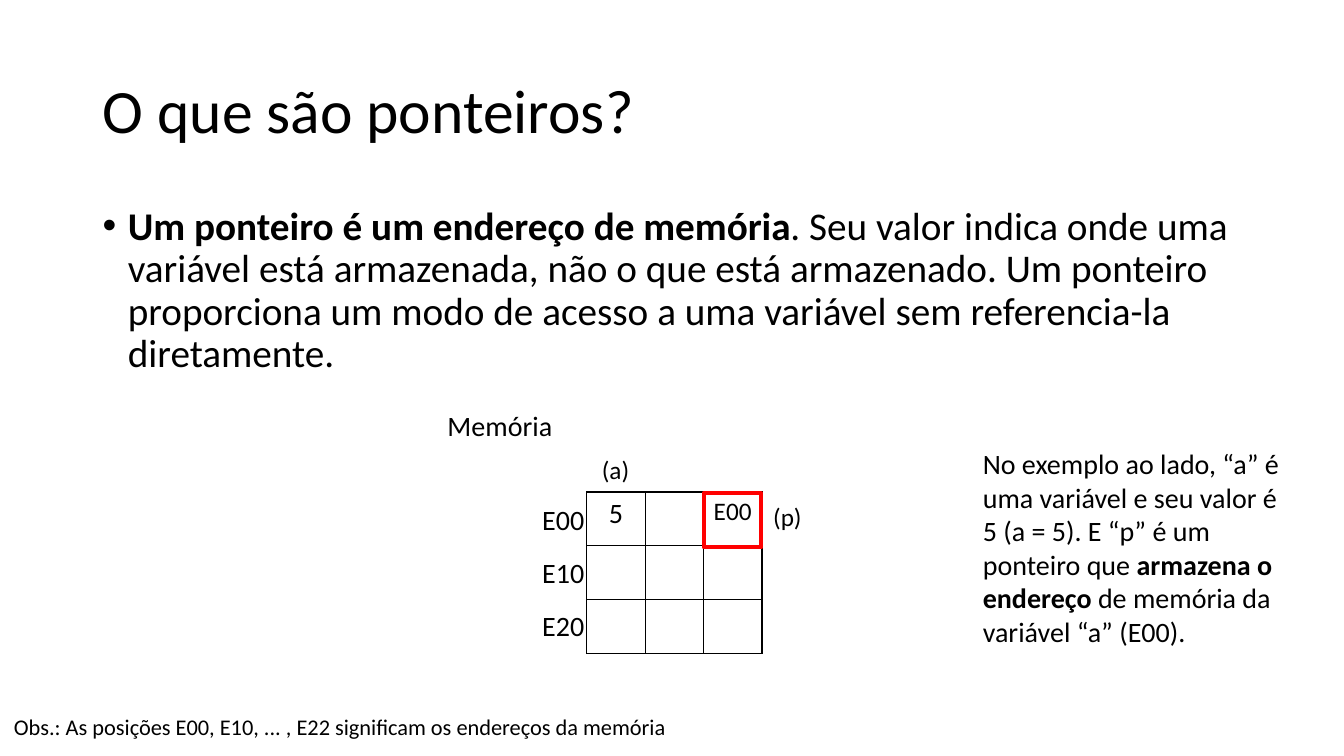
from lxml import etree
from pptx import Presentation
from pptx import util as u
from pptx.dml.color import RGBColor
from pptx.enum import shapes, text
from pptx.oxml import ns

BLACK = RGBColor(0x00, 0x00, 0x00)
RED = RGBColor(0xFF, 0x00, 0x00)
FONT = "Calibri"

# Grid of 100 columns by 100 rows over the slide
W, H = u.Inches(13.33), u.Inches(7.5)
TABLE_X, TABLE_Y = 43.66, 65.07
CELL_W, CELL_H = 4.35, 7.11
LABEL_X, LABEL_Y, LABEL_PITCH = 39.61, 65.87, 7

MEMORY = [["5", "", "E00"], ["", "", ""], ["", "", ""]]
ROW_LABELS = ["E00", "E10", "E20"]


def cols(n):
    return round(W * n / 100)


def rows(n):
    return round(H * n / 100)


def box(x, y, w, h):
    return cols(x), rows(y), cols(w), rows(h)


def add_runs(p, runs, size):
    """Fill a paragraph with (wording, bold) runs."""
    for wording, bold in runs:
        r = p.add_run()
        r.text = wording
        for name, value in dict(name=FONT, size=u.Pt(size), bold=bold).items():
            setattr(r.font, name, value)
        r.font.color.rgb = BLACK


def add_text(s, place, runs, size, wrap=False, **para):
    """Add a one-paragraph text box and return it."""
    tb = s.shapes.add_textbox(*box(*place))
    tf = tb.text_frame
    tf.word_wrap = wrap
    p = tf.paragraphs[0]
    for name, value in para.items():
        setattr(p, name, value)
    add_runs(p, runs, size)
    return tb


def add_bullet(p):
    pPr = p._p.get_or_add_pPr()
    pPr.set("marL", str(u.Inches(0.25)))
    pPr.set("indent", str(-u.Inches(0.25)))
    etree.SubElement(pPr, ns.qn("a:buFont")).set("typeface", "Arial")
    etree.SubElement(pPr, ns.qn("a:buChar")).set("char", "•")


def add_borders(cell):
    tcPr = cell._tc.get_or_add_tcPr()
    for i, side in enumerate(("lnL", "lnR", "lnT", "lnB")):
        ln = etree.Element(ns.qn(f"a:{side}"), w=str(u.Pt(1)))
        fill = etree.SubElement(ln, ns.qn("a:solidFill"))
        etree.SubElement(fill, ns.qn("a:srgbClr")).set("val", str(BLACK))
        tcPr.insert(i, ln)


def add_memory_table(s):
    n = len(MEMORY)
    frame = s.shapes.add_table(
        n, n, *box(TABLE_X, TABLE_Y, n * CELL_W, n * CELL_H))
    table = frame.table
    table.first_row = table.horz_banding = False
    for i, values in enumerate(MEMORY):
        table.rows[i].height = rows(CELL_H)
        table.columns[i].width = cols(CELL_W)
        for j, value in enumerate(values):
            cell = table.cell(i, j)
            cell.fill.background()
            add_borders(cell)
            if value:
                p = cell.text_frame.paragraphs[0]
                number = value.isdigit()
                if number:
                    p.alignment = text.PP_ALIGN.CENTER
                add_runs(p, [(value, False)], 20 if number else 18)


def add_highlight(s, place):
    sp = s.shapes.add_shape(shapes.MSO_SHAPE.RECTANGLE, *box(*place))
    sp.shadow.inherit = False
    sp.fill.background()
    sp.line.color.rgb = RED
    sp.line.width = u.Pt(3)


def main():
    prs = Presentation()
    prs.slide_width, prs.slide_height = W, H
    s = prs.slides.add_slide(prs.slide_layouts[6])

    # Title and definition
    title = add_text(s, (6.9, 5.33, 86.27, 19.33),
                     [("O que são ponteiros?", False)], 44, True,
                     line_spacing=0.9)
    title.text_frame.vertical_anchor = text.MSO_ANCHOR.MIDDLE
    body = add_text(s, (6.9, 26.67, 86.27, 63.47), [
        ("Um ponteiro é um endereço de memória", True),
        (". Seu valor indica onde uma variável está armazenada, não o que "
         "está armazenado. Um ponteiro proporciona um modo de acesso a uma "
         "variável sem referencia-la diretamente.", False),
    ], 28, True, line_spacing=0.9)
    add_bullet(body.text_frame.paragraphs[0])

    # Memory diagram
    add_memory_table(s)
    add_text(s, (32.56, 53.33, 9.38, 5.87), [("Memória", False)], 20)
    for i, label in enumerate(ROW_LABELS):
        add_text(s, (LABEL_X, LABEL_Y + i * LABEL_PITCH, 4.65, 5.87),
                 [(label, False)], 20)
    add_text(s, (56.79, 65.6, 3.68, 5.33), [("(p)", False)], 18)
    add_text(s, (44.04, 59.47, 3.6, 5.33), [("(a)", False)], 18)
    add_highlight(s, (TABLE_X + 2 * CELL_W, 65.2, 4.28, 7.2))

    # Explanation and footnote
    add_text(s, (72.39, 58.4, 24.23, 28.27), [
        ("No exemplo ao lado, “a” é uma variável e seu valor é 5 (a = 5). "
         "E “p” é um ponteiro que ", False),
        ("armazena o endereço ", True),
        ("de memória da variável “a” (E00).", False),
    ], 20, True)
    add_text(s, (0.3, 93.73, 50.64, 4.93), [
        ("Obs.: As posições E00, E10, ... , E22 significam os endereços "
         "da memória", False)], 16)

    prs.save("out.pptx")


if __name__ == "__main__":
    main()
